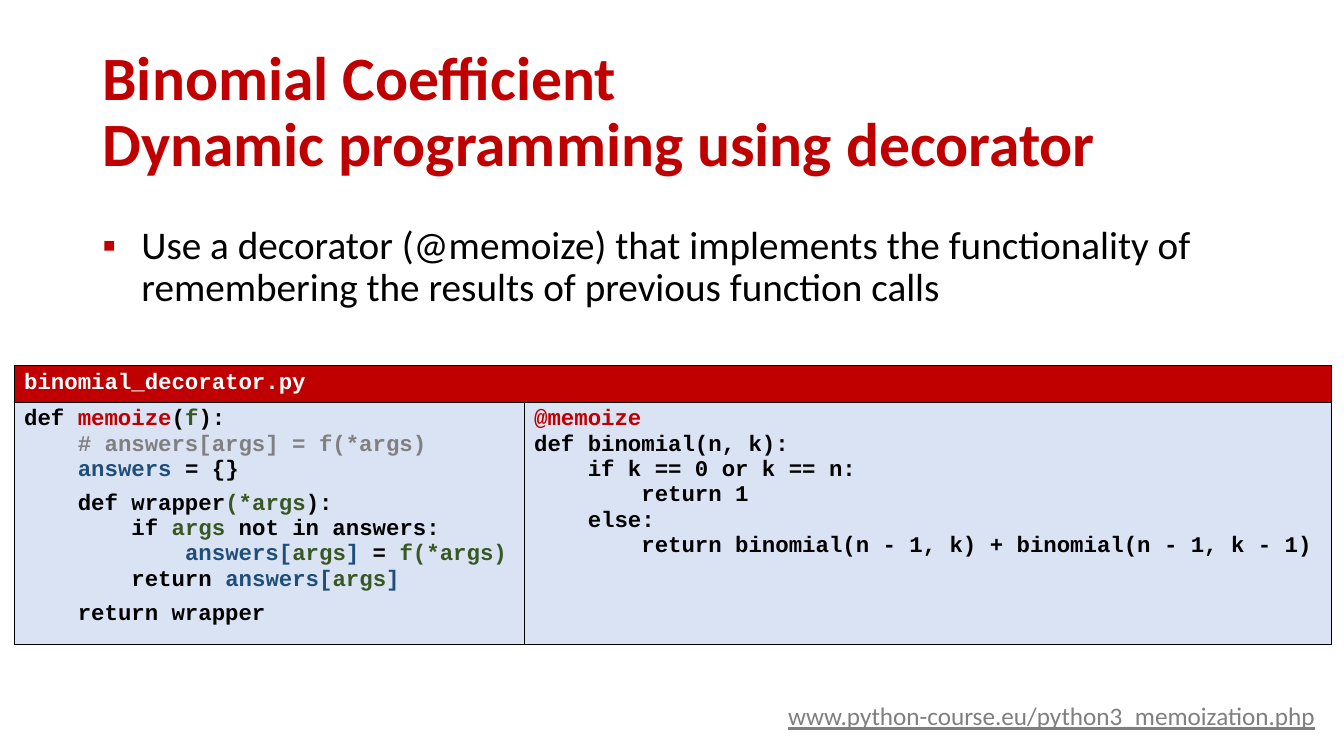
from lxml.etree import SubElement as Sub
from pptx import Presentation
from pptx.dml.color import RGBColor as RGB
from pptx.enum.text import MSO_ANCHOR as Anchor, MSO_AUTO_SIZE as Auto, PP_ALIGN as Align
from pptx.oxml.ns import qn
from pptx.util import Pt

RED = RGB(0xC0, 0x00, 0x00)
BLACK = RGB(0x00, 0x00, 0x00)
WHITE = RGB(0xFF, 0xFF, 0xFF)
GRAY = RGB(0x80, 0x80, 0x80)
LINK = RGB(0x7F, 0x7F, 0x7F)
GREEN = RGB(0x38, 0x57, 0x23)
BLUE = RGB(0x1F, 0x4E, 0x79)
PALE = RGB(0xDA, 0xE3, 0xF3)

BODY, MONO = "Calibri", "Courier New"

# Code lines: plain text, or a list of plain text and (text, colour) parts
ARGS = ("args", GREEN)
LOOKUP = [("answers[", BLUE), ARGS, ("]", BLUE)]
MEMO = [
    ["def ", ("memoize", RED), "(", ("f", GREEN), "):"],
    [("    # answers[args] = f(*args)", GRAY)],
    [("    answers", BLUE), " = {}"],
    ["    def wrapper", ("(*args", GREEN), "):"],
    ["        if ", ARGS, " not in answers:"],
    ["            ", *LOOKUP, " = ", ("f(*args)", GREEN)],
    ["        return ", *LOOKUP],
    "    return wrapper",
]
MEMO_GAPS = (2, 6)  # lines followed by a gap
BINOM = [
    [("@memoize", RED)],
    "def binomial(n, k):",
    "    if k == 0 or k == n:",
    "        return 1",
    "    else:",
    "        return binomial(n - 1, k) + binomial(n - 1, k - 1)",
]


def put(frame, lines, size, font=BODY, color=BLACK, bold=False, under=False,
        space=None, gaps=()):
    """Write lines as paragraphs; a newline inside a part is a line break."""
    for i, line in enumerate(lines):
        para = frame.add_paragraph() if i else frame.paragraphs[0]
        para.alignment = Align.LEFT
        para.line_spacing = space
        if i in gaps:
            para.space_after = Pt(6)
        for part in [line] if isinstance(line, str) else line:
            text, tint = (part, color) if isinstance(part, str) else part
            for j, piece in enumerate(text.split("\n")):
                if j:
                    para.add_line_break()
                run = para.add_run()
                run.text = piece
                run.font.name, run.font.size = font, Pt(size)
                run.font.bold, run.font.underline = bold, under
                run.font.color.rgb = tint


def box(slide, x, y, w, h, wrap=True):
    frame = slide.shapes.add_textbox(Pt(x), Pt(y), Pt(w), Pt(h)).text_frame
    frame.word_wrap = wrap
    return frame


def bullet(para, char, color, indent):
    props = para._p.get_or_add_pPr()
    props.set("marL", str(Pt(indent)))
    props.set("indent", str(-Pt(indent)))
    Sub(Sub(props, qn("a:buClr")), qn("a:srgbClr"), val=str(color))
    Sub(props, qn("a:buFont"), typeface="Arial")
    Sub(props, qn("a:buChar"), char=char)


def style(cell, fill):
    props = cell._tc.get_or_add_tcPr()
    for side in ("lnL", "lnR", "lnT", "lnB"):
        line = Sub(props, qn("a:" + side), w=str(Pt(0.5)))
        Sub(Sub(line, qn("a:solidFill")), qn("a:srgbClr"), val=str(BLACK))
    cell.fill.solid()
    cell.fill.fore_color.rgb = fill


def listing(slide, x, y, cols, rows):
    shape = slide.shapes.add_table(len(rows), len(cols), Pt(x), Pt(y),
                                   Pt(sum(cols)), Pt(sum(rows)))
    table = shape.table
    for col, width in zip(table.columns, cols):
        col.width = Pt(width)
    for row, height, fill in zip(table.rows, rows, (RED, PALE)):
        row.height = Pt(height)
        for cell in row.cells:
            style(cell, fill)

    head = table.cell(0, 0)
    head.merge(table.cell(0, 1))
    head.vertical_anchor = Anchor.MIDDLE
    code = dict(size=16, font=MONO, bold=True)
    put(head.text_frame, ["binomial_decorator.py"], color=WHITE, **code)
    put(table.cell(1, 0).text_frame, MEMO, gaps=MEMO_GAPS, **code)
    put(table.cell(1, 1).text_frame, BINOM, **code)


def main():
    deck = Presentation()
    deck.slide_width, deck.slide_height = Pt(960), Pt(540)
    slide = deck.slides.add_slide(deck.slide_layouts[5])

    # Title
    title = slide.shapes.title
    title.left, title.top, title.width, title.height = Pt(66), Pt(28.8), Pt(828), Pt(104.4)
    frame = title.text_frame
    frame.auto_size, frame.vertical_anchor = Auto.NONE, Anchor.MIDDLE
    put(frame, ["Binomial Coefficient\nDynamic programming using decorator"],
        size=44, color=RED, bold=True, space=0.9)

    # Main point
    frame = box(slide, 66, 157.7, 828, 80)
    put(frame, ["Use a decorator (@memoize) that implements the functionality of "
                "remembering the results of previous function calls"],
        size=28, space=0.9)
    bullet(frame.paragraphs[0], "▪", RED, 28)

    # Code table
    listing(slide, 10.1, 260.6, cols=(364.3, 576.7), rows=(26.6, 172.8))

    # Web address
    frame = box(slide, 555.8, 496.8, 395.3, 28.8, wrap=False)
    frame.auto_size = Auto.SHAPE_TO_FIT_TEXT
    put(frame, ["www.python-course.eu/python3_memoization.php"],
        size=18, color=LINK, under=True)

    deck.save("out.pptx")


if __name__ == "__main__":
    main()
